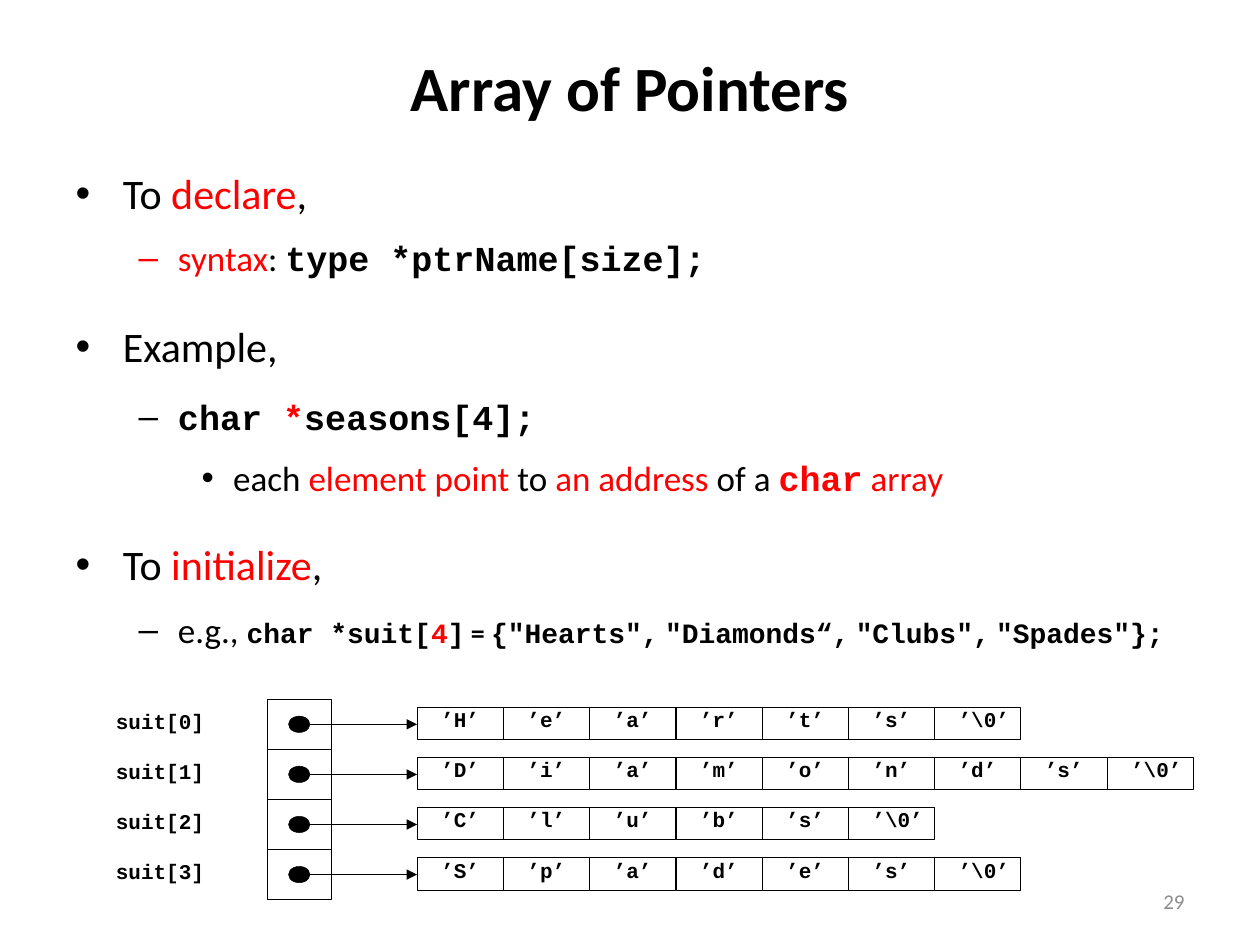
from pptx import Presentation
from pptx import util as u
from pptx.dml.color import RGBColor
from pptx.enum import shapes, text
from pptx.oxml.ns import qn
from lxml import etree

BLACK = RGBColor(0x00, 0x00, 0x00)
RED = RGBColor(0xFF, 0x00, 0x00)
GRAY = RGBColor(0x8C, 0x8C, 0x8C)
SANS, MONO = "Calibri", "Courier New"

TITLE = "Array of Pointers"
PAGE = "29"

# level, space before, runs of (text, size, font, color, bold)
BODY = [
    (0, 0, [("To ", 24, SANS, BLACK, False),
            ("declare", 24, SANS, RED, False),
            (",", 24, SANS, BLACK, False)]),
    (1, 10.5, [("syntax", 20, SANS, RED, False),
               (": ", 20, SANS, BLACK, False),
               ("type *ptrName[size];", 20, MONO, BLACK, True)]),
    (0, 24, [("Example,", 24, SANS, BLACK, False)]),
    (1, 14, [("char ", 20, MONO, BLACK, True),
             ("*", 20, MONO, RED, True),
             ("seasons[4];", 20, MONO, BLACK, True)]),
    (2, 11, [("each ", 20, SANS, BLACK, False),
             ("element point ", 20, SANS, RED, False),
             ("to ", 20, SANS, BLACK, False),
             ("an address ", 20, SANS, RED, False),
             ("of a ", 20, SANS, BLACK, False),
             ("char", 20, MONO, RED, True),
             (" array", 20, SANS, RED, False)]),
    (0, 23, [("To ", 24, SANS, BLACK, False),
             ("initialize", 24, SANS, RED, False),
             (",", 24, SANS, BLACK, False)]),
    (1, 11, [("e.g., ", 20, SANS, BLACK, False),
             ("char *suit[", 16, MONO, BLACK, True),
             ("4", 16, MONO, RED, True),
             ("]", 16, MONO, BLACK, True),
             (" = ", 16, SANS, BLACK, True),
             ('{"Hearts",', 16, MONO, BLACK, True),
             (" ", 16, SANS, BLACK, True),
             ('"Diamonds“,', 16, MONO, BLACK, True),
             (" ", 16, SANS, BLACK, True),
             ('"Clubs",', 16, MONO, BLACK, True),
             (" ", 16, SANS, BLACK, True),
             ('"Spades"};', 16, MONO, BLACK, True)]),
]
SUITS = ["Hearts", "Diamonds", "Clubs", "Spades"]

SLOT_X, SLOT_Y, SLOT_W, SLOT_H = 2.12, 5.55, 0.51, 1.59 / 4
DOT_W, DOT_H = 0.17, 0.13
CELL_X, CELL_W, CELL_H = 3.31, 6.16 / 9, 0.26
LABEL_X, LABEL_W, LABEL_H = 0.92, 1.26, 0.31


def add_run(p, content, size, font, color, bold):
    r = p.add_run()
    r.text = content
    r.font.size = u.Pt(size)
    r.font.name = font
    r.font.bold = bold
    r.font.color.rgb = color


def place(sp, x, y, w, h):
    sp.left, sp.top, sp.width, sp.height = map(u.Inches, (x, y, w, h))


def add_box(s, kind, x, y, w, h, fill=None):
    sp = s.shapes.add_shape(kind, *map(u.Inches, (x, y, w, h)))
    sp.shadow.inherit = False
    if fill is None:
        sp.fill.background()
    else:
        sp.fill.solid()
        sp.fill.fore_color.rgb = fill
    sp.line.color.rgb = BLACK
    sp.line.width = u.Pt(0.25)
    return sp


def write_code(sp, content, align):
    tf = sp.text_frame
    tf.word_wrap = True
    tf.vertical_anchor = text.MSO_ANCHOR.TOP
    tf.margin_left = tf.margin_right = tf.margin_top = tf.margin_bottom = 0
    p = tf.paragraphs[0]
    p.alignment = align
    add_run(p, content, 12, MONO, BLACK, True)


def add_arrow(s, x1, x2, y):
    c = s.shapes.add_connector(shapes.MSO_CONNECTOR.STRAIGHT, u.Inches(x1),
                               u.Inches(y), u.Inches(x2), u.Inches(y))
    c.line.color.rgb = BLACK
    c.line.width = u.Pt(0.25)
    etree.SubElement(c.line._get_or_add_ln(), qn("a:tailEnd"), type="triangle")
    etree.SubElement(c._element.spPr, qn("a:effectLst"))


def add_suit(s, i, name):
    top = SLOT_Y + i * SLOT_H
    middle = top + SLOT_H / 2
    center = SLOT_X + SLOT_W / 2
    add_box(s, shapes.MSO_SHAPE.RECTANGLE, SLOT_X, top, SLOT_W, SLOT_H)
    add_box(s, shapes.MSO_SHAPE.OVAL, center - DOT_W / 2, middle - DOT_H / 2,
            DOT_W, DOT_H, BLACK)
    add_arrow(s, center + DOT_W / 2, CELL_X, middle)
    label = s.shapes.add_textbox(*map(u.Inches, (LABEL_X, top + 0.07, LABEL_W, LABEL_H)))
    write_code(label, f"suit[{i}]", text.PP_ALIGN.LEFT)
    cells = [f"’{letter}’" for letter in name] + [" ’\\0’"]
    for j, cell in enumerate(cells):
        sp = add_box(s, shapes.MSO_SHAPE.RECTANGLE, CELL_X + j * CELL_W,
                     top + 0.06, CELL_W, CELL_H)
        write_code(sp, cell, text.PP_ALIGN.CENTER)


def main():
    prs = Presentation()
    prs.slide_width, prs.slide_height = u.Inches(10), u.Inches(7.5)
    s = prs.slides.add_slide(prs.slide_layouts[1])

    title, body = s.placeholders
    place(title, 0.5, 0.06, 9, 1.25)
    add_run(title.text_frame.paragraphs[0], TITLE, 36, SANS, BLACK, True)

    place(body, 0.5, 1.28, 9.19, 5.78)
    tf = body.text_frame
    tf.auto_size = text.MSO_AUTO_SIZE.NONE
    for i, (level, space, runs) in enumerate(BODY):
        p = tf.add_paragraph() if i else tf.paragraphs[0]
        p.level = level
        p.space_before = u.Pt(space)
        for run in runs:
            add_run(p, *run)

    for i, name in enumerate(SUITS):
        add_suit(s, i, name.lower().capitalize())

    number = s.shapes.add_textbox(*map(u.Inches, (7.17, 6.95, 2.33, 0.4)))
    tf = number.text_frame
    tf.word_wrap = True
    tf.vertical_anchor = text.MSO_ANCHOR.MIDDLE
    p = tf.paragraphs[0]
    p.alignment = text.PP_ALIGN.RIGHT
    add_run(p, PAGE, 12, SANS, GRAY, False)

    prs.save("out.pptx")


if __name__ == "__main__":
    main()
